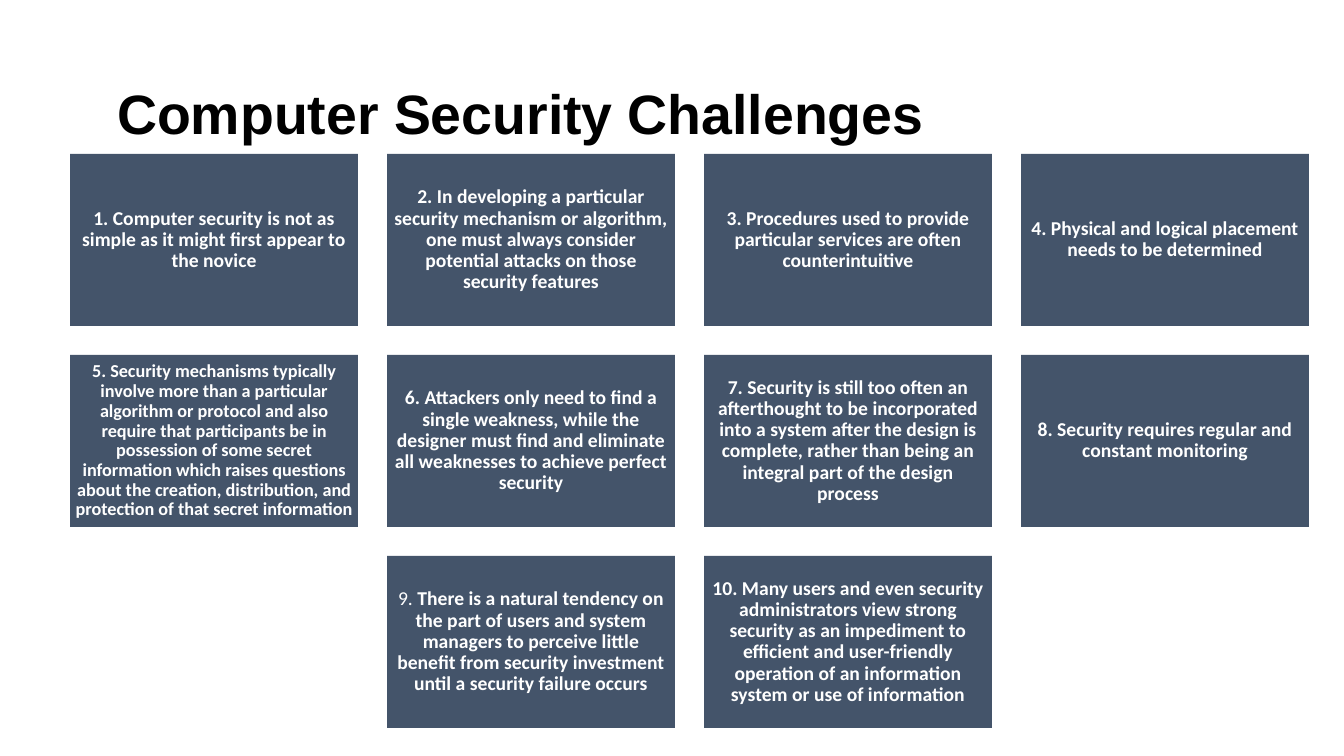
from dataclasses import dataclass

import pptx
import pptx.dml.color
import pptx.enum.shapes
import pptx.enum.text
import pptx.util


@dataclass(frozen=True)
class Theme:
    title_font: str = "Arial"
    card_font: str = "Calibri"
    title_size: float = 39.6
    card_size: int = 14
    dense_size: int = 13
    title_color: str = "000000"
    card_fill: str = "44546A"
    card_color: str = "FFFFFF"
    line_spacing: float = 0.9


@dataclass(frozen=True)
class Challenge:
    text: str
    dense: bool = False
    bold_number: bool = True


THEME = Theme()
PAGE_WIDTH, PAGE_HEIGHT = 1344, 756

# Card grid, in px
COLUMNS = 4
GRID_LEFT, GRID_TOP = 70, 154
CARD_WIDTH, CARD_HEIGHT = 288, 172
COLUMN_STEP, ROW_STEP = 317, 201
INSET, DENSE_INSET = 6, 5

CHALLENGES = [
    Challenge("Computer security is not as simple as it might first appear to the novice"),
    Challenge("In developing a particular security mechanism or algorithm, one must always "
              "consider potential attacks on those security features"),
    Challenge("Procedures used to provide particular services are often counterintuitive"),
    Challenge("Physical and logical placement needs to be determined"),
    Challenge("Security mechanisms typically involve more than a particular algorithm or "
              "protocol and also require that participants be in possession of some secret "
              "information which raises questions about the creation, distribution, and "
              "protection of that secret information", dense=True),
    Challenge("Attackers only need to find a single weakness, while the designer must find "
              "and eliminate all weaknesses to achieve perfect security"),
    Challenge("Security is still too often an afterthought to be incorporated into a system "
              "after the design is complete, rather than being an integral part of the "
              "design process"),
    Challenge("Security requires regular and constant monitoring"),
    Challenge("There is a natural tendency on the part of users and system managers to "
              "perceive little benefit from security investment until a security failure "
              "occurs", bold_number=False),
    Challenge("Many users and even security administrators view strong security as an "
              "impediment to efficient and user-friendly operation of an information system "
              "or use of information"),
]


def px(length: int) -> pptx.util.Emu:
    return pptx.util.Emu(round(length * 914400 / 100.8))


def rgb(color: str) -> pptx.dml.color.RGBColor:
    return pptx.dml.color.RGBColor.from_string(color)


def set_title(page, text: str) -> None:
    title = page.shapes.title
    title.left, title.top, title.width, title.height = map(px, (107, 70, 907, 93))
    frame = title.text_frame
    frame.text = text
    frame.auto_size = pptx.enum.text.MSO_AUTO_SIZE.NONE
    frame.vertical_anchor = pptx.enum.text.MSO_ANCHOR.MIDDLE
    para = frame.paragraphs[0]
    para.alignment = pptx.enum.text.PP_ALIGN.LEFT
    para.line_spacing = THEME.line_spacing
    para.font.name = THEME.title_font
    para.font.size = pptx.util.Pt(THEME.title_size)
    para.font.bold = True
    para.font.color.rgb = rgb(THEME.title_color)


def add_card(page, number: int, challenge: Challenge, left: int, top: int) -> None:
    card = page.shapes.add_shape(
        pptx.enum.shapes.MSO_SHAPE.RECTANGLE,
        px(left), px(top), px(CARD_WIDTH), px(CARD_HEIGHT))
    card.shadow.inherit = False
    card.fill.solid()
    card.fill.fore_color.rgb = rgb(THEME.card_fill)
    card.line.fill.background()

    frame = card.text_frame
    frame.word_wrap = True
    frame.vertical_anchor = pptx.enum.text.MSO_ANCHOR.MIDDLE
    inset = px(DENSE_INSET if challenge.dense else INSET)
    frame.margin_left = frame.margin_right = inset
    frame.margin_top = frame.margin_bottom = inset

    para = frame.paragraphs[0]
    para.alignment = pptx.enum.text.PP_ALIGN.CENTER
    para.line_spacing = THEME.line_spacing
    para.font.name = THEME.card_font
    para.font.size = pptx.util.Pt(THEME.dense_size if challenge.dense else THEME.card_size)
    para.font.color.rgb = rgb(THEME.card_color)
    if challenge.bold_number:
        para.font.bold = True
        para.add_run().text = f"{number}. {challenge.text}"
    else:
        para.add_run().text = f"{number}. "
        span = para.add_run()
        span.text = challenge.text
        span.font.bold = True


def add_grid(page, challenges: list[Challenge]) -> None:
    for start in range(0, len(challenges), COLUMNS):
        row = challenges[start:start + COLUMNS]
        # A short row is centred under the full ones
        row_left = GRID_LEFT + (COLUMNS - len(row)) * COLUMN_STEP // 2
        top = GRID_TOP + start // COLUMNS * ROW_STEP
        for column, challenge in enumerate(row):
            add_card(page, start + column + 1, challenge,
                     row_left + column * COLUMN_STEP, top)


def main() -> None:
    deck = pptx.Presentation()
    deck.slide_width, deck.slide_height = px(PAGE_WIDTH), px(PAGE_HEIGHT)
    page = deck.slides.add_slide(deck.slide_layouts.get_by_name("Title Only"))
    set_title(page, "Computer Security Challenges")
    add_grid(page, CHALLENGES)
    deck.save("out.pptx")


if __name__ == "__main__":
    main()
